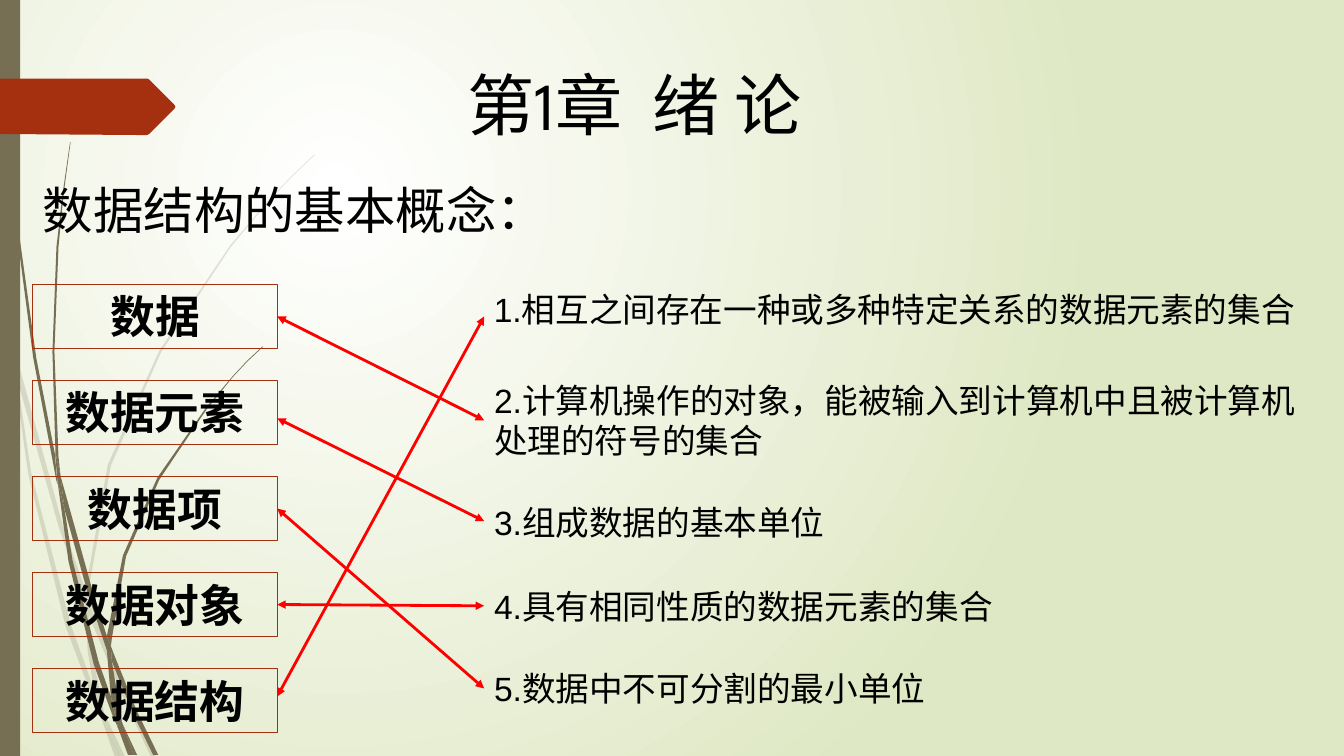
from lxml import etree
from pptx import Presentation
from pptx import util as u
from pptx.dml.color import RGBColor
from pptx.enum import shapes, text
from pptx.oxml.ns import qn

SLIDE_WIDTH, SLIDE_HEIGHT = u.Inches(13.33), u.Inches(7.5)
COLUMN, ROW = SLIDE_WIDTH / 40, SLIDE_HEIGHT / 30
OUTLINE_UNIT = SLIDE_HEIGHT / 750

BLACK = RGBColor(0x00, 0x00, 0x00)
WHITE = RGBColor(0xFF, 0xFF, 0xFF)
PALE_GREEN = RGBColor(0xDF, 0xE8, 0xC4)
OLIVE = RGBColor(0x76, 0x6F, 0x54)
RUST = RGBColor(0xA5, 0x30, 0x10)
RED = RGBColor(0xFF, 0x00, 0x00)

BODY_FONT, TITLE_FONT = "Arial", "League Spartan"

TERM_LEFT, TERM_WIDTH = 0.98, 7.27
TERM_TOP, TERM_HEIGHT, TERM_STEP = 11.28, 2.56, 3.81
DEFINITION_LEFT = 14.41
JOIN_TOLERANCE = 0.12
# term and the row where its arrow starts
TERMS = [("数据", 12.56), ("数据元素", 16.6), ("数据项", 20.28),
         ("数据对象", 23.92), ("数据结构", 27.64)]

# text, left, top, width, height, alignment, row where the arrow ends
DEFINITIONS = [
    ("1.相互之间存在一种或多种特定关系的数据元素的集合",
     12.24, 11.28, 28.75, 2, text.PP_ALIGN.CENTER, 12.56),
    ("2.计算机操作的对象，能被输入到计算机中且被计算机处理的符号的集合",
     DEFINITION_LEFT, 14.88, 25.18, 3.64, None, 16.68),
    ("3.组成数据的基本单位", DEFINITION_LEFT, 19.72, 26.26, 2, None, 20.68),
    ("4.具有相同性质的数据元素的集合", DEFINITION_LEFT, 23.04, 21.55, 2, None, 24.04),
    ("5.数据中不可分割的最小单位", DEFINITION_LEFT, 26.32, 22.81, 2, None, 27.32),
]
# index of the definition that belongs to each term
MATCHES = [1, 2, 4, 3, 0]

# corners of each blade of grass and of the tag, in outline units
PALE_GRASS = [
    [(11, 350), (9, 322), (0, 282), (0, 299), (10, 344)],
    [(58, 522), (84, 599), (85, 586), (62, 520), (14, 345), (17, 376)],
    [(92, 607), (88, 596), (88, 610), (123, 694), (150, 751), (155, 751), (127, 692)],
    [(119, 751), (124, 751), (105, 711)],
    [(93, 683), (70, 619), (31, 469), (17, 376), (11, 350), (28, 470), (65, 621), (92, 693),
     (101, 714), (99, 707)],
    [(84, 599), (87, 646), (93, 683), (96, 692), (105, 711), (103, 706), (91, 646), (88, 610),
     (88, 608)],
    [(88, 584), (110, 462), (160, 349), (229, 245), (268, 198), (290, 175), (312, 154),
     (312, 153), (289, 175), (268, 197), (228, 244), (158, 348), (107, 461), (85, 584),
     (85, 586), (88, 596)],
    [(101, 714), (114, 751), (119, 751)],
    [(88, 608), (88, 610), (88, 596), (85, 586), (84, 599)],
    [(96, 692), (93, 683), (99, 707), (101, 714), (119, 751), (105, 711)],
]
DARK_GRASS = [
    [(7, 110), (17, 233), (33, 355), (56, 477), (57, 481), (55, 457), (55, 453), (36, 355),
     (19, 232), (8, 109), (5, 48), (4, 0), (3, 0), (4, 48)],
    [(88, 592), (106, 645), (106, 633), (106, 631), (93, 590), (60, 472), (64, 505)],
    [(113, 649), (110, 641), (111, 656), (132, 708), (152, 749), (157, 749), (136, 706)],
    [(110, 691), (98, 657), (72, 556), (64, 505), (57, 477), (68, 557), (93, 659), (111, 708),
     (117, 722), (116, 717)],
    [(60, 472), (58, 453), (54, 349), (58, 245), (63, 193), (70, 141), (69.5, 141), (62, 193),
     (56, 245), (52, 349), (55, 449)],
    [(133, 749), (136, 749), (122, 719)],
    [(57, 477), (64, 505), (60, 472), (55, 449), (55, 453)],
    [(111, 633), (125, 552), (158, 476), (205, 406), (231, 374), (245, 359), (261, 344),
     (260, 344), (245, 358), (231, 373), (204, 405), (156, 474), (122, 551), (106, 631),
     (110, 641)],
    [(117, 722), (127, 749), (131, 749)],
    [(106, 645), (110, 691), (116, 706), (122, 719), (121, 716), (111, 656), (109, 651)],
    [(106, 645), (109, 651), (111, 656), (110, 641), (106, 631), (106, 633)],
    [(116, 706), (110, 691), (116, 717), (117, 722), (130, 749), (133, 749), (122, 719)],
]
TAG = [(173, 108), (148, 133), (146, 134), (136, 134), (0, 133), (0, 78), (136, 78),
       (146, 78), (148, 79), (173, 104), (174, 106)]


def paint_background(slide):
    fill = slide.background.fill
    fill.gradient()
    for stop, color, position in zip(fill.gradient_stops, (WHITE, PALE_GREEN), (0, 1)):
        stop.color.rgb = color
        stop.position = position
    gradient = slide.background._cSld.find(".//" + qn("a:gradFill"))
    gradient.remove(gradient.find(qn("a:lin")))
    circle = etree.SubElement(gradient, qn("a:path"), {"path": "circle"})
    etree.SubElement(circle, qn("a:fillToRect"),
                     {"l": "50000", "t": "50000", "r": "100000", "b": "100000"})


def paint(shape, color, opacity=100):
    shape.shadow.inherit = False
    shape.fill.solid()
    shape.fill.fore_color.rgb = color
    shape.line.fill.background()
    if opacity < 100:
        color_element = shape._element.spPr.find(".//" + qn("a:srgbClr"))
        etree.SubElement(color_element, qn("a:alpha"), {"val": str(opacity * 1000)})


def add_outline(parent, corners, color, opacity=100):
    start, *rest = [(x * OUTLINE_UNIT, y * OUTLINE_UNIT) for x, y in corners]
    builder = parent.shapes.build_freeform(*start, scale=1.0)
    builder.add_line_segments(rest, close=True)
    paint(builder.convert_to_shape(), color, opacity)


def add_grass(slide, blades, opacity):
    group = slide.shapes.add_group_shape()
    for corners in blades:
        add_outline(group, corners, OLIVE, opacity)


def grid_box(left, top, width, height):
    return [round(length) for length in
            (left * COLUMN, top * ROW, width * COLUMN, height * ROW)]


def write(shape, runs, size, font=BODY_FONT, bold=None, align=None):
    """Fill the shape with one paragraph and return it."""
    frame = shape.text_frame
    frame.word_wrap = True
    frame.vertical_anchor = text.MSO_ANCHOR.TOP
    paragraph = frame.paragraphs[0]
    paragraph.alignment = align
    for words in runs:
        run = paragraph.add_run()
        run.text = words
        run.font.size = u.Pt(size)
        run.font.name = font
        run.font.bold = bold
        run.font.color.rgb = BLACK
    return paragraph


def add_text(slide, box, runs, size, **style):
    shape = slide.shapes.add_textbox(*grid_box(*box))
    return shape, write(shape, runs, size, **style)


def add_title(slide):
    shape, paragraph = add_text(slide, (11.82, 2.4, 15.9, 3.84),
                                ["第1章", " ", "绪 论"], 48, font=TITLE_FONT)
    shape.text_frame.vertical_anchor = text.MSO_ANCHOR.MIDDLE
    shape.text_frame.margin_left = round(2.1 * COLUMN)
    paragraph.line_spacing = 0.9
    paragraph.runs[1].font._element.set("spc", "1080")


def add_term(slide, index, term):
    box = grid_box(TERM_LEFT, TERM_TOP + index * TERM_STEP, TERM_WIDTH, TERM_HEIGHT)
    shape = slide.shapes.add_shape(shapes.MSO_SHAPE.RECTANGLE, *box)
    shape.shadow.inherit = False
    shape.fill.background()
    shape.line.color.rgb = RUST
    shape.line.width = u.Pt(0.75)
    write(shape, [term], 32, bold=True, align=text.PP_ALIGN.CENTER)
    shape.text_frame.auto_size = text.MSO_AUTO_SIZE.SHAPE_TO_FIT_TEXT
    return shape


def add_match_arrow(slide, term_shape, start_row, end_row):
    """Draw a two-headed arrow, joined to the term if it starts at mid-side."""
    arrow = slide.shapes.add_connector(
        shapes.MSO_CONNECTOR.STRAIGHT,
        term_shape.left + term_shape.width, round(start_row * ROW),
        round(DEFINITION_LEFT * COLUMN), round(end_row * ROW))
    middle_row = (term_shape.top + term_shape.height / 2) / ROW
    if abs(start_row - middle_row) < JOIN_TOLERANCE:
        arrow.begin_connect(term_shape, 3)
    arrow.line.color.rgb = RED
    arrow.line.width = u.Pt(2)
    line = arrow.line._get_or_add_ln()
    for end in ("a:headEnd", "a:tailEnd"):
        etree.SubElement(line, qn(end), {"type": "triangle"})
    etree.SubElement(arrow._element.spPr, qn("a:effectLst"))


def main():
    presentation = Presentation()
    presentation.slide_width, presentation.slide_height = SLIDE_WIDTH, SLIDE_HEIGHT
    slide = presentation.slides.add_slide(presentation.slide_layouts[6])
    paint_background(slide)
    add_grass(slide, PALE_GRASS, 20)
    add_grass(slide, DARK_GRASS, 100)
    bar = slide.shapes.add_shape(shapes.MSO_SHAPE.RECTANGLE, *grid_box(0, 0, 0.6, 30))
    paint(bar, OLIVE)
    add_outline(slide, TAG, RUST)

    add_title(slide)
    add_text(slide, (0.98, 6.92, 15.36, 3.72), ["数据结构的基本概念："], 36)
    term_shapes = [add_term(slide, index, term) for index, (term, _) in enumerate(TERMS)]
    for words, *box, align, _ in DEFINITIONS:
        shape, _ = add_text(slide, box, [words], 24, align=align)
        shape.text_frame.auto_size = text.MSO_AUTO_SIZE.SHAPE_TO_FIT_TEXT
    for term_shape, (_, start_row), match in zip(term_shapes, TERMS, MATCHES):
        add_match_arrow(slide, term_shape, start_row, DEFINITIONS[match][-1])
    presentation.save("out.pptx")


if __name__ == "__main__":
    main()
